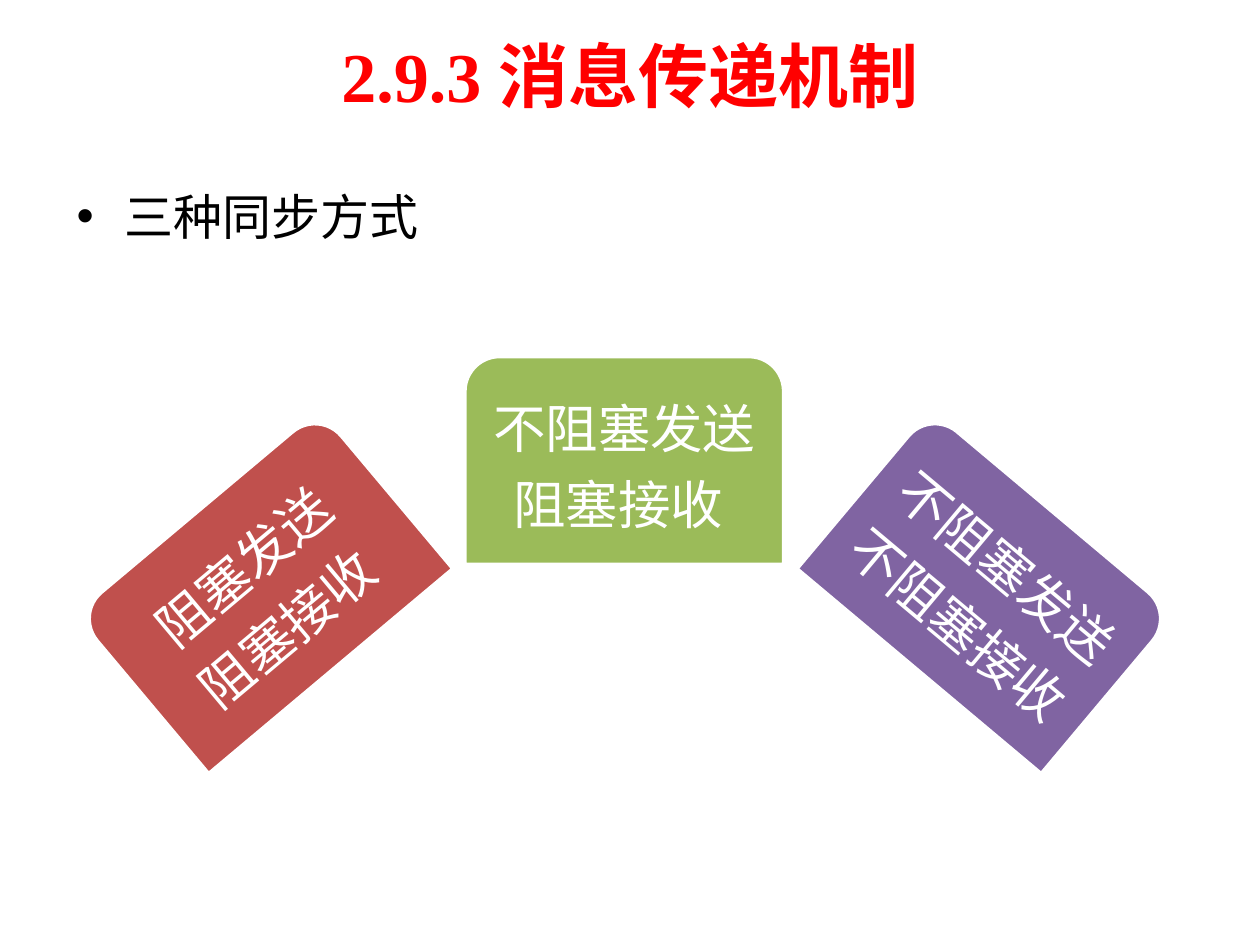
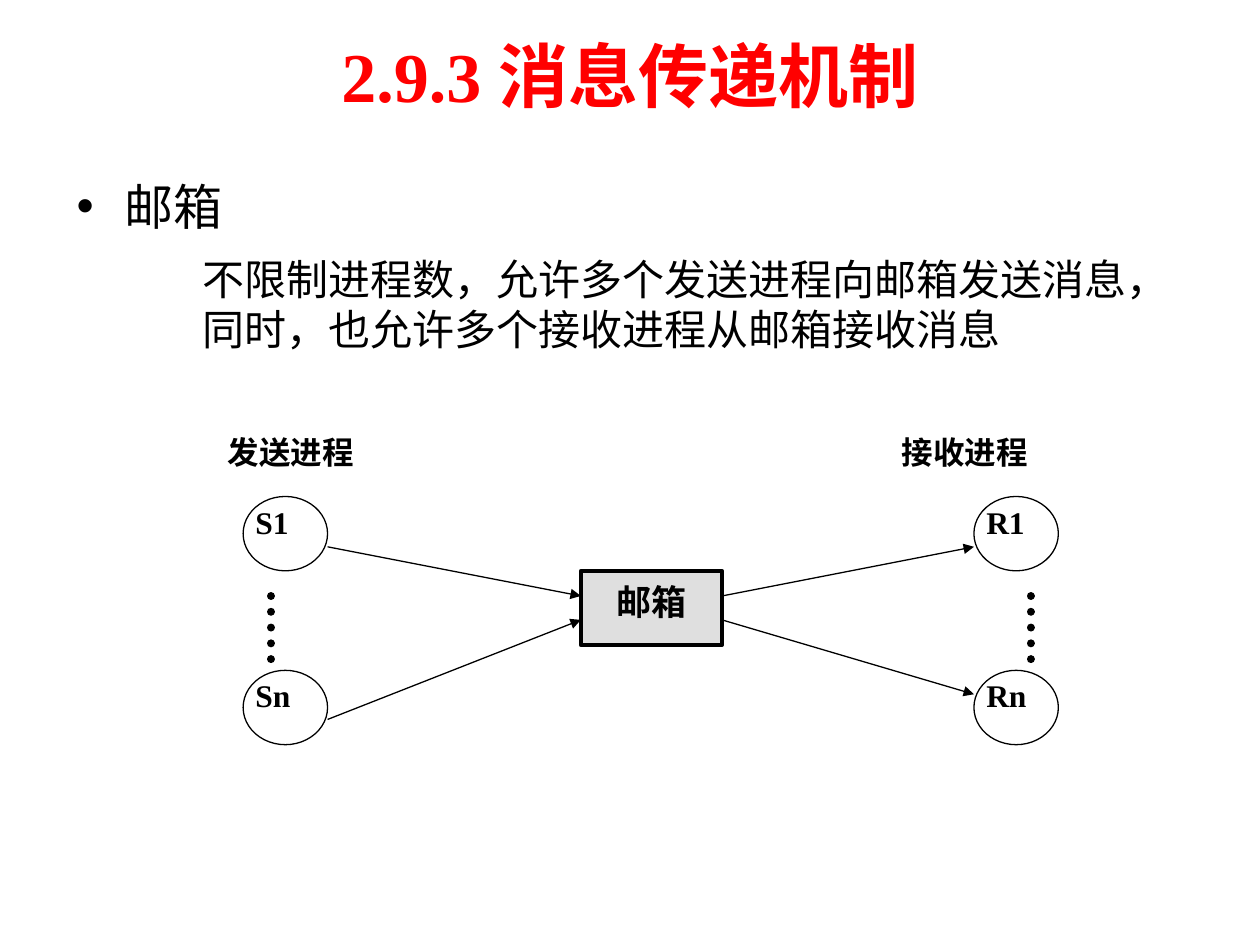
from lxml import etree
from pptx import Presentation
from pptx import util as u
from pptx.dml.color import RGBColor
from pptx.enum import dml, shapes, text
from pptx.oxml.ns import qn

In = u.Inches
HUES = {"red": "FF0000", "black": "000000", "white": "FFFFFF", "brick": "C0504D",
        "green": "9BBB59", "plum": "8064A2", "grey": "C0C0C0"}
ROMAN = "Times New Roman"
HAN = "Noto Sans CJK SC"
MID = text.PP_ALIGN.CENTER
LEFT = text.PP_ALIGN.LEFT


def hue(name):
    return RGBColor.from_string(HUES[name])


class Deck:
    """Holds the style and the current slide."""

    def __init__(self):
        self.prs = Presentation()
        self.prs.slide_width, self.prs.slide_height = In(10), In(7.5)
        self.slide = None

    def page(self, title):
        self.slide = self.prs.slides.add_slide(self.prs.slide_layouts[6])
        frame = self.box(0.5, 0.05, 9, 1.02)
        frame.vertical_anchor = text.MSO_ANCHOR.MIDDLE
        self.para(frame, title, 40, "red", bold=True, align=MID)

    def box(self, x, y, w, h):
        frame = self.slide.shapes.add_textbox(In(x), In(y), In(w), In(h)).text_frame
        frame.word_wrap = True
        return frame

    def para(self, frame, words, size, color="black", font=ROMAN, bold=False,
             align=LEFT, lead=1.3, before=0, after=0):
        first = frame.paragraphs[0]
        para = frame.add_paragraph() if first.runs else first
        para.alignment = align
        para.line_spacing = u.Pt(size * lead)
        para.space_before, para.space_after = u.Pt(before), u.Pt(after)
        run = para.add_run()
        run.text = words
        run.font.size, run.font.bold = u.Pt(size), bold
        run.font.color.rgb = hue(color)
        run.font.name = font
        etree.SubElement(run.font._element, qn("a:ea"), typeface=HAN)
        return para

    def margin(self, para, left, indent=0, mark=None):
        props = para._p.get_or_add_pPr()
        props.set("marL", str(In(left)))
        props.set("indent", str(In(indent)))
        if mark:
            etree.SubElement(props, qn("a:buFont"), typeface="Arial")
            etree.SubElement(props, qn("a:buChar"), char=mark)

    def bullet(self, frame, words):
        para = self.para(frame, words, 28, after=5.6)
        self.margin(para, 0.38, -0.38, "•")

    def shape(self, kind, x, y, w, h, fill=None, line="black", width=0.75,
              inset=(0.1, 0.05), alpha=None):
        item = self.slide.shapes.add_shape(kind, In(x), In(y), In(w), In(h))
        item.shadow.inherit = False
        if fill:
            item.fill.solid()
            item.fill.fore_color.rgb = hue(fill)
        else:
            item.fill.background()
        if alpha:
            tone = item._element.spPr.find(".//" + qn("a:srgbClr"))
            etree.SubElement(tone, qn("a:alpha"), val=str(alpha * 1000))
        item.line.color.rgb = hue(line)
        item.line.width = u.Pt(width)
        frame = item.text_frame
        frame.word_wrap = True
        frame.vertical_anchor = text.MSO_ANCHOR.TOP
        frame.margin_left = frame.margin_right = In(inset[0])
        frame.margin_top = frame.margin_bottom = In(inset[1])
        return item

    def line(self, start, end, width=0.75, dots=False):
        link = self.slide.shapes.add_connector(
            shapes.MSO_CONNECTOR.STRAIGHT, *map(In, start + end))
        link.line.color.rgb = hue("black")
        link.line.width = u.Pt(width)
        pen = link.line._get_or_add_ln()
        if dots:
            link.line.dash_style = dml.MSO_LINE.ROUND_DOT
            pen.set("cap", "rnd")
        else:
            etree.SubElement(pen, qn("a:tailEnd"), type="triangle")
        etree.SubElement(link._element.spPr, qn("a:effectLst"))

    def card(self, x, y, turn, fill, rows):
        item = self.shape(shapes.MSO_SHAPE.ROUND_2_SAME_RECTANGLE, x, y, 2.53, 1.65,
                          fill, "white", 2, (0.12, 0.04))
        item.rotation = turn
        item.text_frame.vertical_anchor = text.MSO_ANCHOR.MIDDLE
        for i, row in enumerate(rows):
            self.para(item.text_frame, row, 30, "white", HAN, align=MID,
                      lead=1.2, before=7 * i)

    def node(self, x, y, name):
        item = self.shape(shapes.MSO_SHAPE.OVAL, x, y, 0.67, 0.59, inset=(0, 0))
        self.para(item.text_frame, name, 18, bold=True, lead=1.05)


def modes(deck):
    deck.page(TITLE)
    deck.bullet(deck.box(0.51, 1.39, 8.9, 5.28), "三种同步方式")

    # Three ways to pair send and receive
    deck.card(0.83, 3.87, 320, "brick", ["阻塞发送", "阻塞接收 "])
    deck.card(3.69, 2.83, 0, "green", ["不阻塞发送", "阻塞接收 "])
    deck.card(6.56, 3.87, 40, "plum", ["不阻塞发送", "不阻塞接收"])


def mail(deck):
    deck.page(TITLE)
    body = deck.box(0.51, 1.31, 8.9, 5.28)
    deck.bullet(body, "邮箱")
    note = deck.para(body, "不限制进程数，允许多个发送进程向邮箱发送消息，"
                     "同时，也允许多个接收进程从邮箱接收消息", 24, font=HAN,
                     lead=1.2, before=4.8, after=4.8)
    deck.margin(note, 1)

    # Mailbox
    hub = deck.shape(shapes.MSO_SHAPE.RECTANGLE, 4.61, 4.53, 1.12, 0.59, "grey",
                     width=2.25, alpha=50)
    deck.para(hub.text_frame, "邮箱", 20, bold=True, align=MID)

    # Senders on the left, receivers on the right
    sides = [("发送进程", 1.71, "S", 1.93, 2.15), ("接收进程", 7.06, "R", 7.73, 8.18)]
    for label, left, key, x, dot in sides:
        deck.para(deck.box(left, 3.36, 1.56, 0.59), label, 18, bold=True)
        for end, y in (("1", 3.94), ("n", 5.32)):
            deck.node(x, y, key + end)
        deck.line((dot, 4.73), (dot, 5.32), 4.5, dots=True)

    # Message flow
    for out, port, to in ((4.34, 4.73, 4.34), (5.71, 4.92, 5.51)):
        deck.line((2.6, out), (4.61, port))
        deck.line((5.73, port), (7.73, to))


TITLE = "2.9.3 消息传递机制"


def main():
    deck = Deck()
    modes(deck)
    mail(deck)
    deck.prs.save("out.pptx")


if __name__ == "__main__":
    main()
